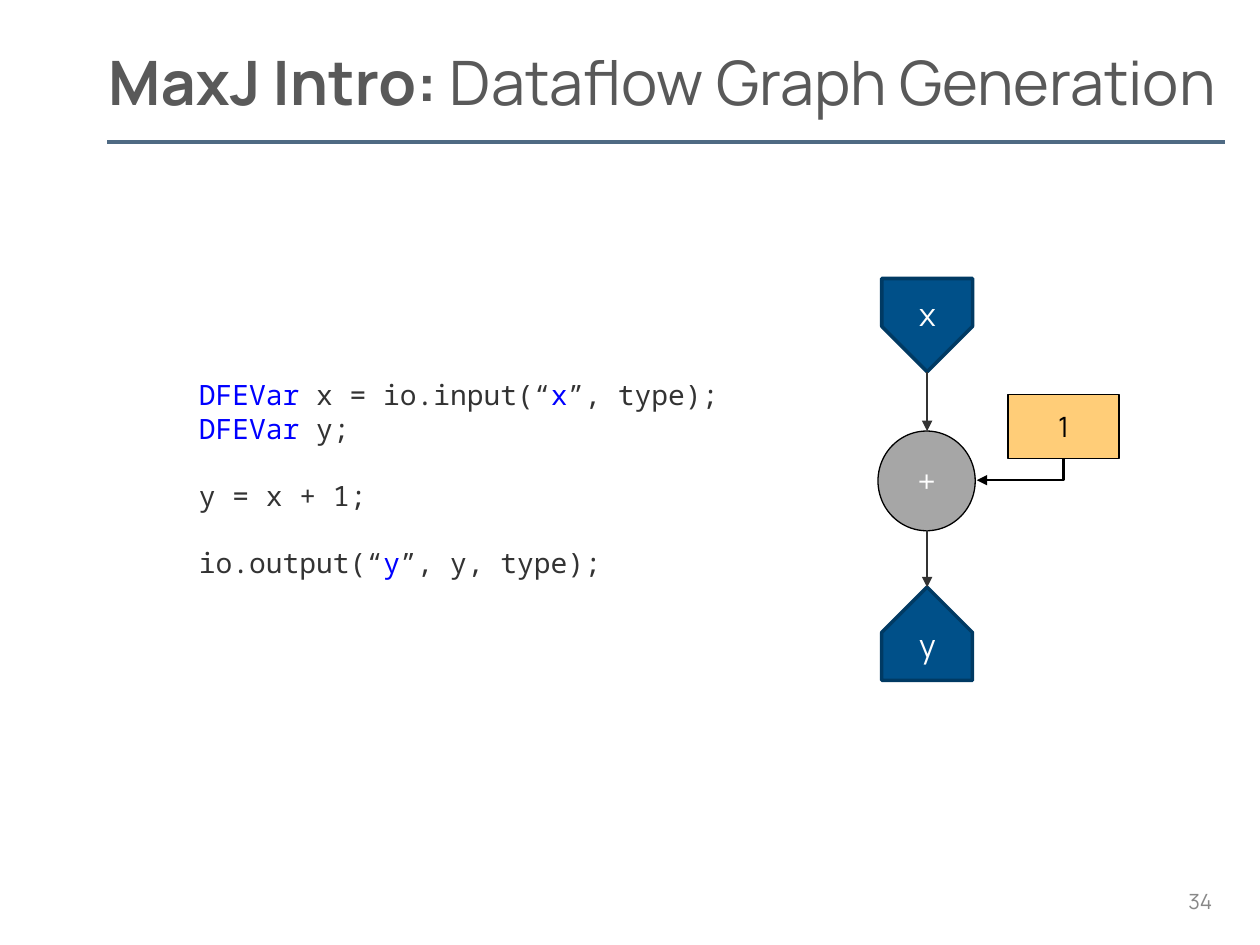
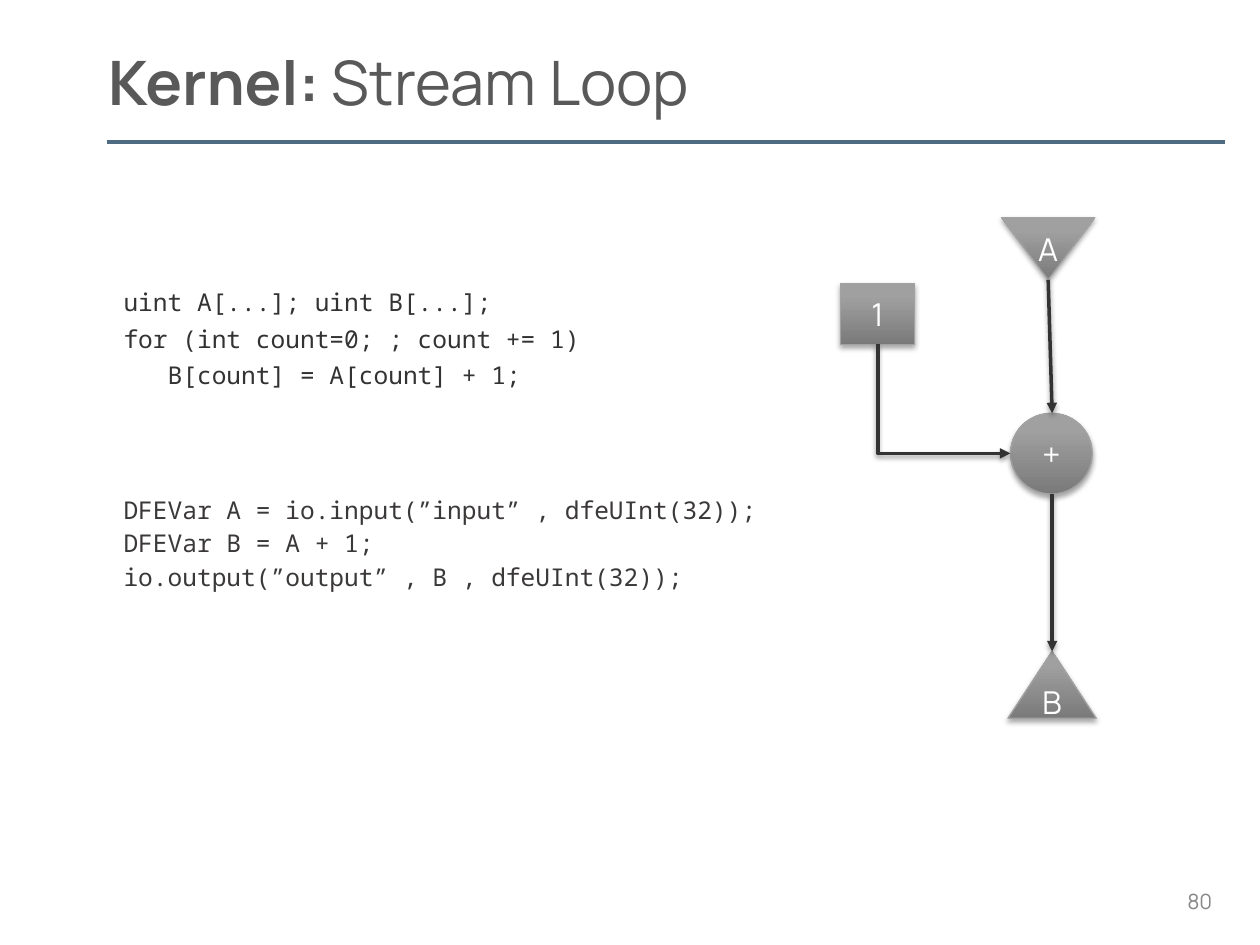
from lxml.etree import SubElement
from pptx import Presentation
from pptx.dml.color import RGBColor
from pptx.enum.shapes import MSO_CONNECTOR, MSO_SHAPE
from pptx.enum.text import MSO_ANCHOR, MSO_AUTO_SIZE, PP_ALIGN
from pptx.oxml.ns import qn
from pptx.util import Cm, Pt

COLORS = {
    "rule": "4F6A83", "title": "595959", "number": "888888",
    "ink": "333333", "soft_ink": "3B3838", "keyword": "0000FF",
    "white": "FFFFFF", "black": "000000",
    "port": "005089", "port_edge": "003A63", "adder": "A6A6A6", "constant": "FFCD78",
    "shade": "7A7A7A", "light": "A0A0A0", "gray_edge": "A2A2A2",
}
SANS, MONO = "Manrope", "Noto Sans Mono"

STYLES = {
    "port": {"fill": "port", "edge": "port_edge", "weight": 2},
    "adder": {"fill": "adder", "edge": "black", "weight": 0.75},
    "constant": {"fill": "constant", "edge": "black", "weight": 0.75,
                 "ink": "black", "size": 16},
    "gray": {"gradient": [("shade", 0), ("light", 0.8)], "edge": "gray_edge",
             "weight": 0.75, "shadow": (35, 1.8)},
    "thin": {"edge": "ink", "weight": 1.25},
    "thin_black": {"edge": "black", "weight": 1.25},
    "thick": {"edge": "ink", "weight": 2, "shadow": (38, 1.6)},
}

RULE = ((2.16, 2.87), (24.69, 2.87))
NUMBER_BOX = (23.55, 17.65, 1.14, 1.02)
BLUE, INK, SOFT = "keyword", "ink", "soft_ink"

SLIDES = [
    {
        "title": ("MaxJ Intro: ", "Dataflow Graph Generation"),
        "title_box": (2.18, 1.42, 22.86, 1.63),
        "number": "34",
        "code_box": (3.76, 7.49, 12.93, 5.89),
        "code_margins": (0.25, 0.13),
        "code_size": 16,
        "code": [
            (0, 1, [("DFEVar", BLUE), (" x = io.input(“", INK), ("x", BLUE),
                    ("”, type);", INK)]),
            (0, 1, [("DFEVar", BLUE), (" y;", INK)]),
            (19, 1, [("y = x + 1;", INK)]),
            (19, 1, [("io.output(“", INK), ("y", BLUE), ("”, y, type);", INK)]),
        ],
        "nodes": [
            (MSO_SHAPE.PENTAGON, (17.75, 5.64, 1.88, 1.83), 90, "", "port"),
            (MSO_SHAPE.OVAL, (17.7, 8.69, 1.96, 2.01), 0, "+", "adder"),
            (MSO_SHAPE.FLOWCHART_PROCESS, (20.32, 7.95, 2.24, 1.3), 0, "1", "constant"),
            (MSO_SHAPE.PENTAGON, (17.75, 11.86, 1.88, 1.83), 270, "", "port"),
        ],
        "labels": [("x", (17.78, 5.61, 1.83, 1.42)), ("y", (17.78, 12.29, 1.83, 1.42))],
        "arrows": [
            ((18.69, 7.49), (18.69, 8.69), "thin"),
            ((18.69, 10.69), (18.69, 11.84), "thin"),
        ],
        "bent_arrow": ((21.44, 9.25), (19.69, 9.68), "thin_black"),
    },
    {
        "title": ("Kernel: ", "Stream Loop"),
        "title_box": (2.18, 1.42, 22.07, 1.63),
        "number": "80",
        "code_box": (2.49, 5.28, 14.61, 6.1),
        "code_margins": (0, 0.51),
        "code_size": 14,
        "code": [
            (0, 1, [("uint A[...]; uint B[...];", INK)]),
            (4, 1, [("for (int count=0; ; count += 1)", INK)]),
            (4, 1, [("   B[count] = A[count] + 1;", INK)]),
            (62, 0.9, [("DFEVar A = io.input(”input” , dfeUInt(32));", SOFT)]),
            (4, 0.9, [("DFEVar B = A + 1;", SOFT)]),
            (4, 0.9, [("io.output(”output” , B , dfeUInt(32));", SOFT)]),
        ],
        "input": ("A", [(20.19, 4.39), (21.13, 5.64), (22.07, 4.39)], "gray"),
        "nodes": [
            (MSO_SHAPE.OVAL, (20.37, 8.33, 1.65, 1.63), 0, "+", "gray"),
            (MSO_SHAPE.RECTANGLE, (16.94, 5.72, 1.5, 1.22), 0, "1", "gray"),
            (MSO_SHAPE.ISOSCELES_TRIANGLE, (20.32, 13.13, 1.78, 1.35), 0, "B", "gray"),
        ],
        "labels": [],
        "arrows": [
            ((21.21, 9.96), (21.21, 13.13), "thick"),
            ((21.13, 5.64), (21.21, 8.33), "thick"),
        ],
        "bent_arrow": ((17.7, 6.93), (20.37, 9.14), "thick"),
    },
]


def rgb(color):
    return RGBColor.from_string(COLORS[color])


def cms(lengths):
    return [Cm(length) for length in lengths]


def assign(target, values):
    for name, value in values.items():
        setattr(target, name, value)


def place(holder, box):
    assign(holder, dict(zip(("left", "top", "width", "height"), cms(box))))


def set_frame(frame, margins, anchor):
    sides = ("margin_left", "margin_top", "margin_right", "margin_bottom")
    assign(frame, dict(zip(sides, cms(margins))))
    assign(frame, {"word_wrap": True, "auto_size": MSO_AUTO_SIZE.NONE,
                   "vertical_anchor": anchor})


def add_run(paragraph, text, size, color, face=SANS, bold=False):
    run = paragraph.add_run()
    run.text = text
    assign(run.font, {"name": face, "size": Pt(size), "bold": bold})
    run.font.color.rgb = rgb(color)


def write_label(shape, text, size=18, color="white", align=PP_ALIGN.CENTER):
    set_frame(shape.text_frame, (0.25, 0.13, 0.25, 0.13), MSO_ANCHOR.MIDDLE)
    paragraph = shape.text_frame.paragraphs[0]
    paragraph.alignment = align
    add_run(paragraph, text, size, color)


def set_edge(shape, style):
    shape.line.color.rgb = rgb(style["edge"])
    shape.line.width = Pt(style["weight"])


def add_shadow(effects, style):
    if "shadow" not in style:
        return
    alpha, distance = style["shadow"]
    shadow = SubElement(effects, qn("a:outerShdw"), blurRad=str(Pt(3.1)),
                        dist=str(Pt(distance)), dir="5400000", rotWithShape="0")
    tint = SubElement(shadow, qn("a:srgbClr"), val=COLORS["black"])
    SubElement(tint, qn("a:alpha"), val=str(alpha * 1000))


def dress_node(node, text, style_name):
    style = STYLES[style_name]
    if "gradient" in style:
        node.fill.gradient()
        node.fill.gradient_angle = 90
        for stop, (color, position) in zip(node.fill.gradient_stops, style["gradient"]):
            stop.color.rgb = rgb(color)
            stop.position = position
    else:
        node.fill.solid()
        node.fill.fore_color.rgb = rgb(style["fill"])
    set_edge(node, style)
    node.shadow.inherit = False
    add_shadow(node.element.spPr.find(qn("a:effectLst")), style)
    if text:
        write_label(node, text, style.get("size", 18), style.get("ink", "white"))


def add_line(slide, start, end, style, kind=MSO_CONNECTOR.STRAIGHT, arrow=True):
    line = slide.shapes.add_connector(kind, *cms(start + end))
    set_edge(line, style)
    if arrow:
        SubElement(line.line._get_or_add_ln(), qn("a:tailEnd"), type="triangle")
    add_shadow(SubElement(line.element.spPr, qn("a:effectLst")), style)
    return line


def add_bent_arrow(slide, start, end, style):
    (x1, y1), (x2, y2) = start, end
    middle_x, middle_y = (x1 + x2) / 2, (y1 + y2) / 2
    half_drop, half_run = (y2 - y1) / 2, abs(x2 - x1) / 2
    rightward = x2 > x1
    if rightward:
        half_drop = -half_drop
    arrow = add_line(slide, (middle_x - half_drop, middle_y - half_run),
                     (middle_x + half_drop, middle_y + half_run),
                     style, MSO_CONNECTOR.ELBOW)
    properties = arrow.element.spPr
    properties.find(qn("a:xfrm")).set("rot", str((270 if rightward else 90) * 60000))
    properties.find(qn("a:prstGeom")).set("prst", "bentConnector2")


def add_header(slide, content):
    title = slide.shapes.title
    place(title, content["title_box"])
    set_frame(title.text_frame, (0, 0, 0, 1.22), MSO_ANCHOR.MIDDLE)
    heading = title.text_frame.paragraphs[0]
    heading.alignment = PP_ALIGN.LEFT
    topic, subject = content["title"]
    add_run(heading, topic, 35, "title", bold=True)
    add_run(heading, subject, 35, "title")
    add_line(slide, *RULE, {"edge": "rule", "weight": 2.25}, arrow=False)
    number = slide.shapes.add_textbox(*cms(NUMBER_BOX))
    write_label(number, content["number"], 12, "number", PP_ALIGN.RIGHT)


def add_code(slide, content):
    code = slide.placeholders[1]
    place(code, content["code_box"])
    set_frame(code.text_frame, content["code_margins"] * 2, MSO_ANCHOR.TOP)
    for index, (gap, spacing, pieces) in enumerate(content["code"]):
        frame = code.text_frame
        line = frame.add_paragraph() if index else frame.paragraphs[0]
        properties = line._p.get_or_add_pPr()
        properties.set("marL", "0")
        properties.set("indent", "0")
        SubElement(properties, qn("a:buNone"))
        assign(line, {"space_before": Pt(gap), "line_spacing": float(spacing),
                      "alignment": PP_ALIGN.LEFT})
        for text, color in pieces:
            add_run(line, text, content["code_size"], color, MONO)


def add_graph(slide, content):
    if "input" in content:
        name, corners, style_name = content["input"]
        points = [cms(corner) for corner in corners]
        outline = slide.shapes.build_freeform(*points[0])
        outline.add_line_segments(points[1:], close=True)
        dress_node(outline.convert_to_shape(), name, style_name)
    for kind, box, rotation, text, style_name in content["nodes"]:
        node = slide.shapes.add_shape(kind, *cms(box))
        node.rotation = rotation
        dress_node(node, text, style_name)
    for text, box in content["labels"]:
        write_label(slide.shapes.add_textbox(*cms(box)), text)
    for start, end, style_name in content["arrows"]:
        add_line(slide, start, end, STYLES[style_name])
    start, end, style_name = content["bent_arrow"]
    add_bent_arrow(slide, start, end, STYLES[style_name])


def main():
    deck = Presentation()
    assign(deck, {"slide_width": Cm(25.4), "slide_height": Cm(19.05)})
    for content in SLIDES:
        slide = deck.slides.add_slide(deck.slide_layouts[1])
        add_header(slide, content)
        add_code(slide, content)
        add_graph(slide, content)
    deck.save("out.pptx")


if __name__ == "__main__":
    main()
